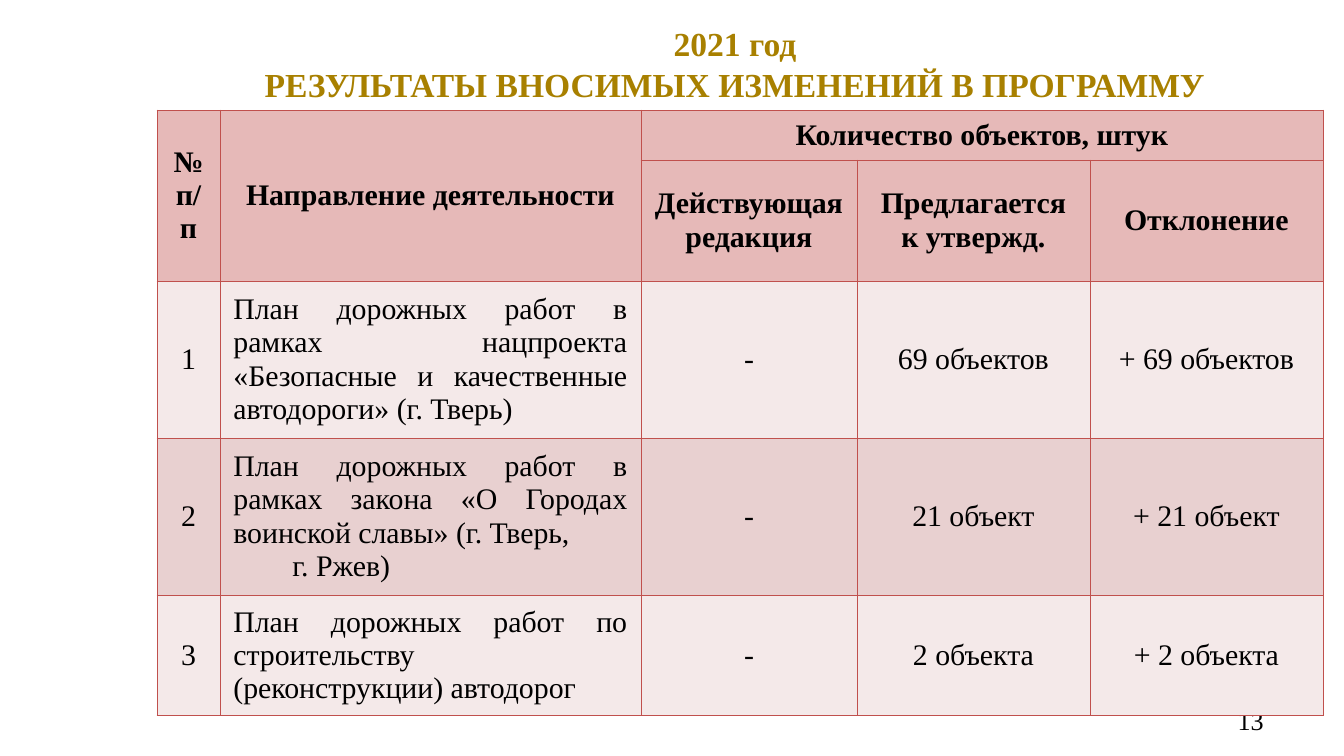
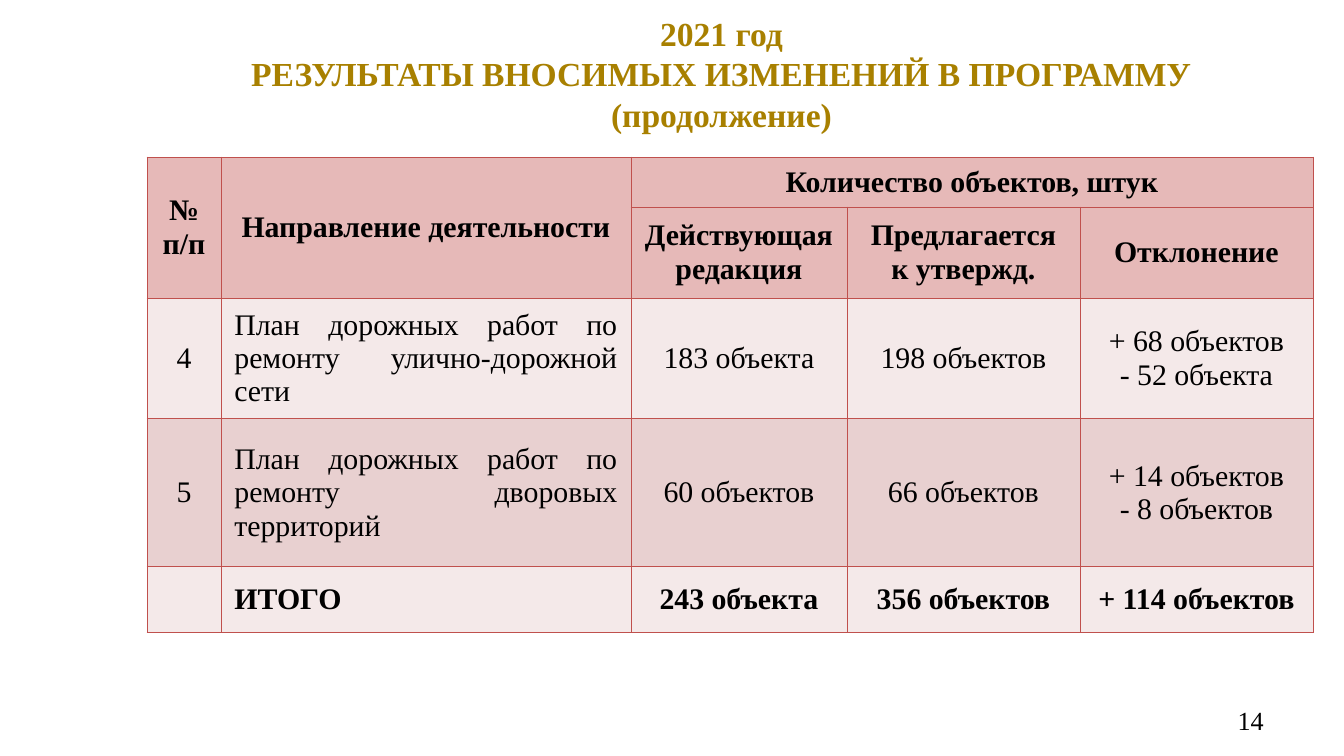
"""Build two slides with tables of the programme changes for 2021."""
from lxml.etree import SubElement
from pptx import Presentation
from pptx.dml.color import RGBColor as RGB
from pptx.enum.text import MSO_ANCHOR as ANCHOR, PP_ALIGN as ALIGN
from pptx.oxml.ns import qn
from pptx.util import Emu, Pt

FONT = "Times New Roman"
COLORS = {"title": "A88000", "text": "000000", "border": "C0504D",
          "head": "E6B9B8", "light": "F4E9E9", "dark": "E8D0D0"}
HEADER = [
    ["№ п/п", "Направление деятельности", "Количество объектов, штук", "", ""],
    ["", "", "Действующая редакция", "Предлагается к утвержд.", "Отклонение"],
]
MERGES = [((0, 0), (1, 0)), ((0, 1), (1, 1)), ((0, 2), (0, 4))]
TITLE = "2021 год\nРЕЗУЛЬТАТЫ ВНОСИМЫХ ИЗМЕНЕНИЙ В ПРОГРАММУ"
TOTAL = "ИТОГО"
VALUE_COLS = [216, 233, 233]
NUMBER_BOX = (964, 700, 313, 40)
HANGING_TEXT = "г. Ржев)"
HANGING_INDENT = 59

SLIDES = [
    {"number": "13", "title": TITLE, "title_box": (147, 22, 1176, 83),
     "origin": (157, 110), "cols": [63, 421], "rows": [50, 121, 157, 157, 121],
     "body": [
         ["1", "План дорожных работ в рамках нацпроекта «Безопасные и "
          "качественные автодороги» (г. Тверь)",
          "-", "69 объектов", "+ 69 объектов"],
         ["2", "План дорожных работ в рамках закона «О Городах воинской "
          "славы» (г. Тверь,\n" + HANGING_TEXT,
          "-", "21 объект", "+ 21 объект"],
         ["3", "План дорожных работ по строительству (реконструкции) автодорог",
          "-", "2 объекта", "+ 2 объекта"],
     ]},
    {"number": "14", "title": TITLE + " (продолжение)",
     "title_box": (147, 31, 1149, 85),
     "origin": (147, 157), "cols": [74, 410], "rows": [50, 91, 121, 148, 66],
     "body": [
         ["4", "План дорожных работ по ремонту улично-дорожной сети",
          "183 объекта", "198 объектов", "+ 68 объектов\n- 52 объекта"],
         ["5", "План дорожных работ по ремонту дворовых территорий",
          "60 объектов", "66 объектов", "+ 14 объектов\n- 8 объектов"],
         ["", TOTAL, "243 объекта", "356 объектов", "+ 114 объектов"],
     ]},
]


def px(n):
    return Emu(round(n * 914400 / 134.4))


def write(tf, text, size, color, align, bold=False):
    tf.text = text
    for p in tf.paragraphs:
        p.alignment = align
        for r in p.runs:
            r.font.name, r.font.size, r.font.bold = FONT, Pt(size), bold
            r.font.color.rgb = RGB.from_string(COLORS[color])


def add_text(slide, box, text, size, color, align, bold=False):
    tf = slide.shapes.add_textbox(*map(px, box)).text_frame
    tf.word_wrap = True
    tf.vertical_anchor = ANCHOR.MIDDLE
    write(tf, text, size, color, align, bold)


def style_cell(cell, fill):
    tc_pr = cell._tc.get_or_add_tcPr()
    for side in ("lnL", "lnR", "lnT", "lnB"):
        ln = SubElement(tc_pr, qn(f"a:{side}"), w=str(Pt(0.45)))
        SubElement(SubElement(ln, qn("a:solidFill")), qn("a:srgbClr"),
                   val=COLORS["border"])
    cell.fill.solid()
    cell.fill.fore_color.rgb = RGB.from_string(COLORS[fill])
    cell.vertical_anchor = ANCHOR.MIDDLE


def add_table(slide, data):
    cols, heights = data["cols"] + VALUE_COLS, data["rows"]
    rows = HEADER + data["body"]
    size = (sum(cols), sum(heights))
    table = slide.shapes.add_table(len(rows), len(cols),
                                   *map(px, data["origin"] + size)).table
    table.first_row = table.horz_banding = False
    for col, width in zip(table.columns, cols):
        col.width = px(width)
    for i, (row, height) in enumerate(zip(rows, heights)):
        table.rows[i].height = px(height)
        is_head, is_total = i < len(HEADER), row[1] == TOTAL
        fill = "head" if is_head else ("light", "dark")[i % 2]
        for j, text in enumerate(row):
            cell = table.cell(i, j)
            style_cell(cell, fill)
            align = ALIGN.CENTER
            if j == 1 and not is_head:
                align = ALIGN.LEFT if is_total else ALIGN.JUSTIFY
            write(cell.text_frame, text, 16, "text", align, is_head or is_total)
            for p in cell.text_frame.paragraphs:
                if p.text == HANGING_TEXT:
                    p._p.get_or_add_pPr().set("marL", str(px(HANGING_INDENT)))
    for start, end in MERGES:
        table.cell(*start).merge(table.cell(*end))


def main():
    prs = Presentation()
    prs.slide_width, prs.slide_height = px(1344), px(756)
    for data in SLIDES:
        slide = prs.slides.add_slide(prs.slide_layouts[6])
        add_text(slide, NUMBER_BOX, data["number"], 14, "text", ALIGN.RIGHT)
        add_text(slide, data["title_box"], data["title"], 18, "title",
                 ALIGN.CENTER, True)
        add_table(slide, data)
    prs.save("out.pptx")


if __name__ == "__main__":
    main()
